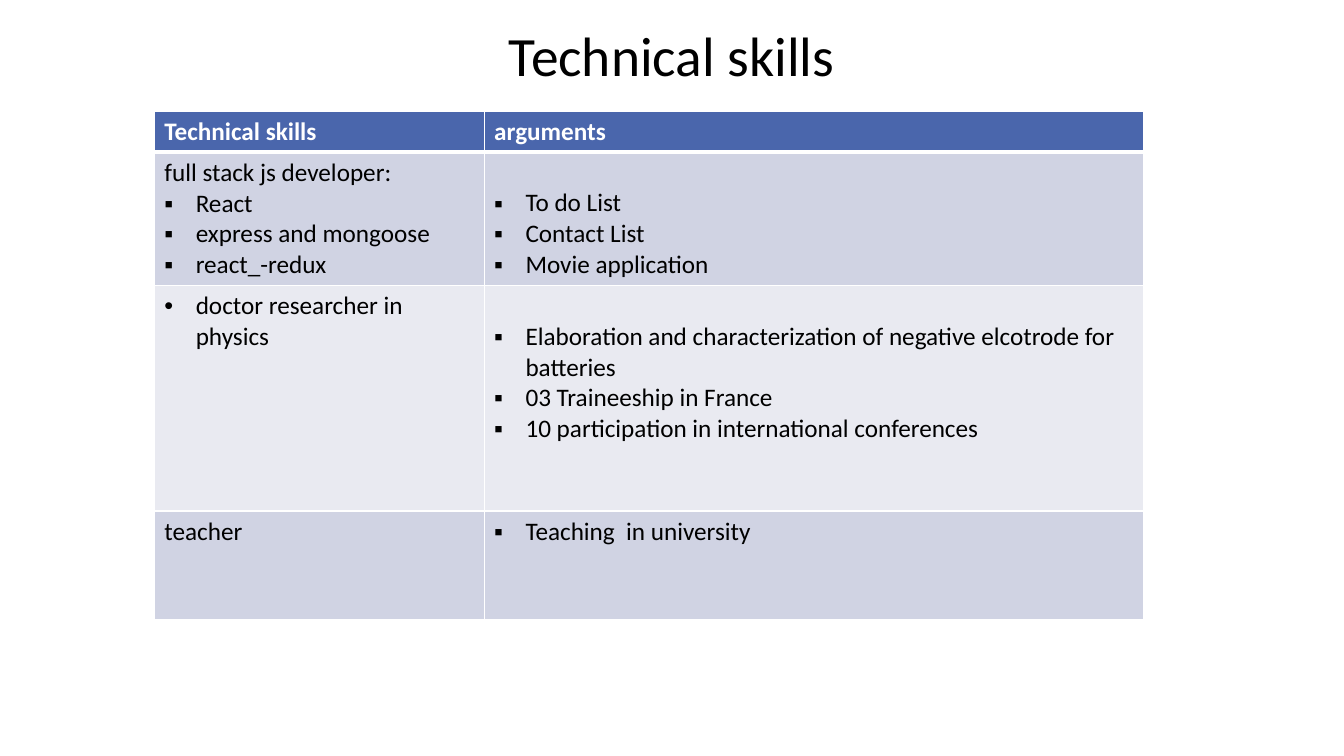
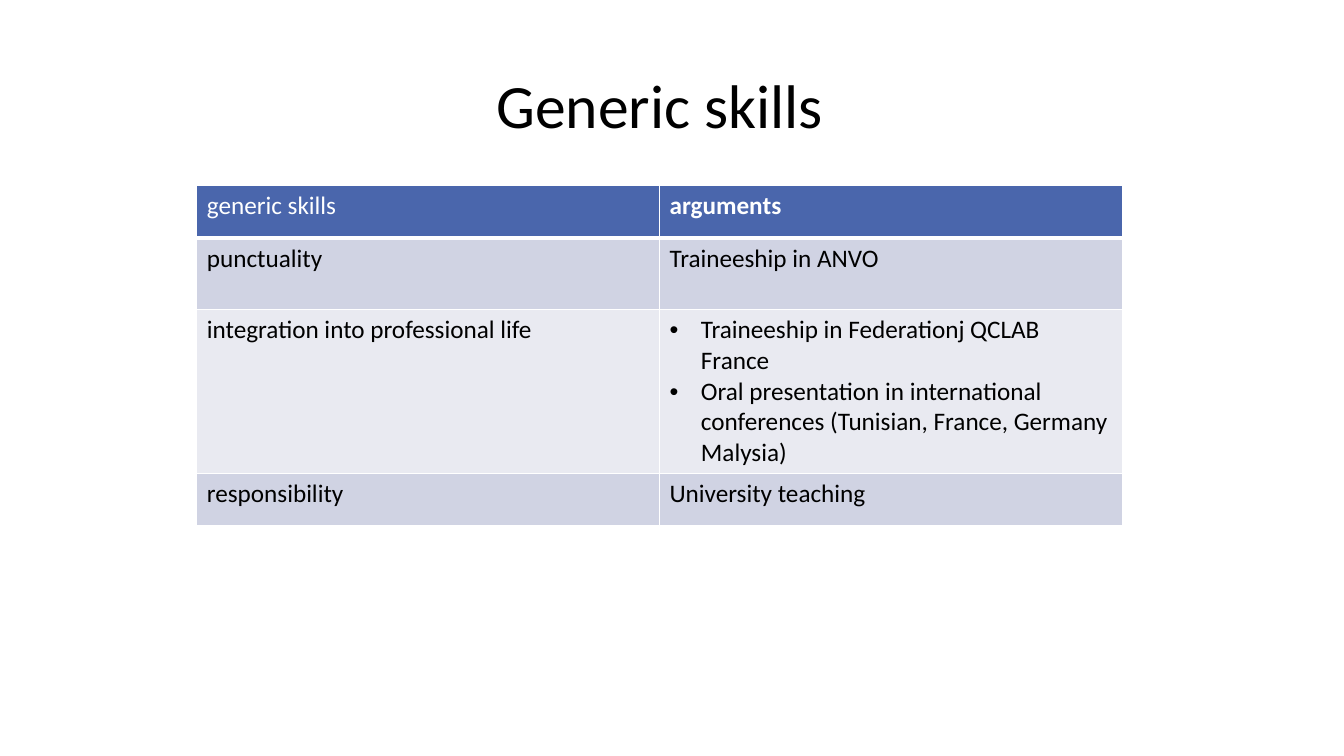
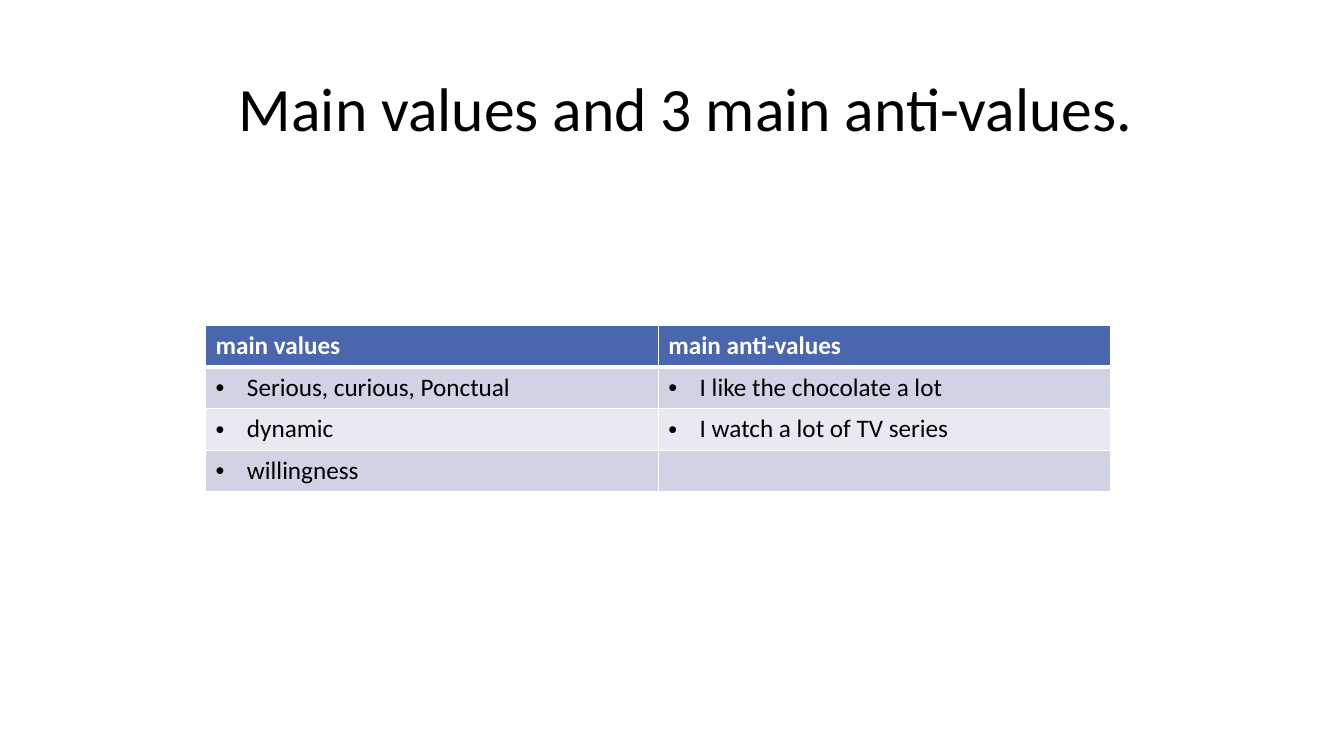
from lxml.etree import SubElement
from pptx import Presentation
from pptx.dml.color import RGBColor
from pptx.enum.text import MSO_ANCHOR as Anchor, MSO_AUTO_SIZE as AutoSize, PP_ALIGN as Align
from pptx.oxml.ns import qn
from pptx.util import Cm, Pt


def rgb(value):
    """Turn a hex string into a colour."""
    return RGBColor.from_string(value)


class Deck:
    """Hold the shared style and the current slide."""

    FONT = "Calibri"
    TEXT = "000000"
    LIGHT = "FFFFFF"
    HEADER = "4A66AC"
    BANDS = ("D0D3E3", "E9EAF1")
    BULLETS = "▪•"
    INDENT = Cm(0.79)
    MARGIN = Cm(0.13)
    LINE = Cm(0.77)

    def __init__(self):
        """Start a wide presentation."""
        self.prs = Presentation()
        self.prs.slide_width, self.prs.slide_height = Cm(33.87), Cm(19.05)
        self.s = None

    def style(self, font, **formats):
        """Apply the base font and the given format values."""
        color = formats.pop("color", self.TEXT)
        for name, value in {"name": self.FONT, "bold": False, **formats}.items():
            setattr(font, name, value)
        font.color.rgb = rgb(color)

    def slide(self, title, left, top, height, size):
        """Add a slide with a centred title."""
        self.s = self.prs.slides.add_slide(self.prs.slide_layouts[5])
        sp = self.s.shapes.title
        box = {"left": left, "top": top, "width": 28.78, "height": height}
        for name, value in box.items():
            setattr(sp, name, Cm(value))
        tf = sp.text_frame
        formats = {"text": title, "word_wrap": True, "auto_size": AutoSize.NONE,
                   "vertical_anchor": Anchor.MIDDLE}
        for name, value in formats.items():
            setattr(tf, name, value)
        p = tf.paragraphs[0]
        p.alignment = Align.CENTER
        self.style(p.runs[0].font, size=Pt(size))

    def table(self, left, top, widths, heights, rows, bold_header=(True, True)):
        """Add a banded table with a header row."""
        frame = self.s.shapes.add_table(len(rows), len(widths), Cm(left), Cm(top),
                                        Cm(sum(widths)), Cm(sum(heights)))
        table = frame.table
        table.horz_banding = False
        for column, width in zip(table.columns, widths):
            column.width = Cm(width)
        for i, (row, height) in enumerate(zip(rows, heights)):
            table.rows[i].height = Cm(height)
            for j, text in enumerate(row):
                cell = table.cell(i, j)
                self.borders(cell, i)
                cell.fill.solid()
                cell.fill.fore_color.rgb = rgb(self.BANDS[(i - 1) % 2] if i else self.HEADER)
                color = self.TEXT if i else self.LIGHT
                self.cell_text(cell, text, color, not i and bold_header[j])

    def borders(self, cell, row):
        """Draw white cell borders, thick below the header."""
        widths = {"L": 1, "R": 1, "T": 3 if row == 1 else 1, "B": 1 if row else 3}
        props = cell._tc.get_or_add_tcPr()
        for side, width in widths.items():
            line = SubElement(props, qn(f"a:ln{side}"), w=str(Pt(width)))
            SubElement(SubElement(line, qn("a:solidFill")), qn("a:srgbClr"), val=self.LIGHT)

    def cell_text(self, cell, text, color, bold):
        """Write lines into a cell; a leading line break lowers the text by one line."""
        lines = text.lstrip("\n").split("\n")
        cell.margin_top = self.MARGIN + self.LINE * text.startswith("\n")
        cell.margin_bottom = self.MARGIN
        tf = cell.text_frame
        for i, line in enumerate(lines):
            p = tf.add_paragraph() if i else tf.paragraphs[0]
            self.style(p.font, size=Pt(18), color=color, bold=bold)
            if line and line[0] in self.BULLETS:
                self.bullet(p, line[0])
                line = line[2:]
            if line:
                r = p.add_run()
                r.text = line
                self.style(r.font, size=Pt(18), color=color, bold=bold)

    def bullet(self, p, char):
        """Give a paragraph a bullet with a hanging indent."""
        props = p._p.get_or_add_pPr()
        props.set("marL", str(self.INDENT))
        props.set("indent", str(-self.INDENT))
        mark = SubElement(props, qn("a:buChar"), char=char)
        font = SubElement(props, qn("a:buFont"), typeface="Arial")
        props.insert(0, font)
        props.insert(1, mark)


def main():
    """Build the three skills slides."""
    deck = Deck()

    deck.slide("Technical skills", 2.54, 0.97, 0.81, 39.6)
    deck.table(3.89, 2.8, (8.31, 16.61), (1.03, 3.35, 5.68, 2.74), (
        ("Technical skills", "arguments"),
        ("full stack js developer:\n▪ React\n▪ express and mongoose\n▪ react_-redux",
         "\n▪ To do List\n▪ Contact List\n▪ Movie application"),
        ("• doctor researcher in physics",
         "\n▪ Elaboration and characterization of negative elcotrode for batteries\n"
         "▪ 03 Traineeship in France\n▪ 10 participation in international conferences"),
        ("teacher", "▪ Teaching  in university"),
    ))

    deck.slide("Generic skills", 2.24, 1.32, 2.57, 44)
    deck.table(4.96, 4.68, (11.66, 11.66), (1.32, 1.8, 3.68, 1.32), (
        ("generic skills", "arguments"),
        ("punctuality", "Traineeship in ANVO"),
        ("integration into professional life",
         "• Traineeship in Federationj QCLAB France\n"
         "• Oral presentation in international conferences (Tunisian, France, Germany Malysia)"),
        ("responsibility", "University teaching"),
    ), bold_header=(False, True))

    deck.slide("Main values and 3 main anti-values.", 2.9, 1.42, 2.57, 44)
    deck.table(5.18, 8.2, (11.41, 11.41), (1.05,) * 4, (
        ("main values", "main anti-values"),
        ("• Serious, curious, Ponctual", "• I like the chocolate a lot"),
        ("• dynamic", "• I watch a lot of TV series"),
        ("• willingness", ""),
    ))

    deck.prs.save("out.pptx")


if __name__ == "__main__":
    main()
